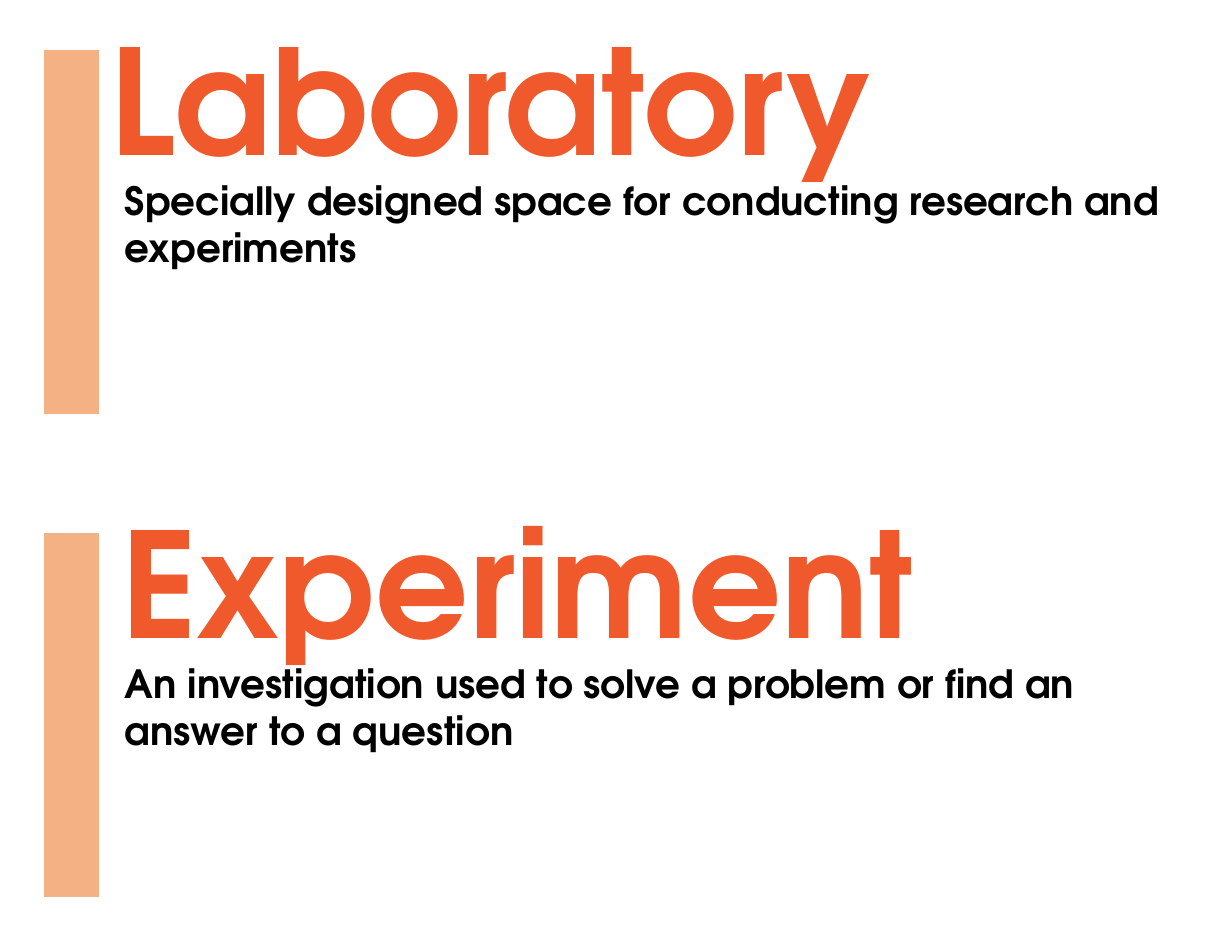
from dataclasses import dataclass

import pptx
import pptx.dml.color
import pptx.enum.shapes
import pptx.enum.text
import pptx.util

PX = 914400 / 112


@dataclass(frozen=True)
class Theme:
    font: str = "TeX Gyre Adventor"
    term_color: str = "F0592B"
    text_color: str = "000000"
    bar_color: str = "F4B183"
    term_size: int = 94
    text_size: int = 25


@dataclass(frozen=True)
class Box:
    left: int
    top: int
    width: int
    height: int

    def inner(self, left, top, width, height):
        """Return a box whose position is relative to this one."""
        return Box(self.left + left, self.top + top, width, height)

    def emu(self):
        lengths = (self.left, self.top, self.width, self.height)
        return [pptx.util.Emu(round(length * PX)) for length in lengths]


THEME = Theme()
FIRST_CARD = Box(44, 50, 1128, 364)
CARD_PITCH = 483
# Term, its left edge within the card, definition
ENTRIES = [
    ("Laboratory", 55,
     "Specially designed space for conducting research and experiments"),
    ("Experiment", 66,
     "An investigation used to solve a problem or find an answer to a question"),
]


def rgb(value):
    return pptx.dml.color.RGBColor.from_string(value)


def write_text(shape, text, size, color, anchor):
    frame = shape.text_frame
    frame.text = text
    frame.word_wrap = True
    frame.auto_size = pptx.enum.text.MSO_AUTO_SIZE.NONE
    frame.vertical_anchor = anchor
    para = frame.paragraphs[0]
    para.alignment = pptx.enum.text.PP_ALIGN.LEFT
    font = para.runs[0].font
    font.name = THEME.font
    font.size = pptx.util.Pt(size)
    font.bold = True
    font.color.rgb = rgb(color)


def add_bar(page, box):
    bar = page.shapes.add_shape(
        pptx.enum.shapes.MSO_SHAPE.RECTANGLE, *box.emu())
    bar.shadow.inherit = False
    bar.fill.solid()
    bar.fill.fore_color.rgb = rgb(THEME.bar_color)
    bar.line.fill.background()


def add_card(page, box, term, term_left, definition, title=None):
    """Place a bar, a term and its definition; title may hold the term."""
    definition_box = page.shapes.add_textbox(
        *box.inner(70, 121, 1058, 244).emu())
    write_text(definition_box, definition, THEME.text_size, THEME.text_color,
               pptx.enum.text.MSO_ANCHOR.TOP)

    term_box = box.inner(term_left, -48, 1074, 190).emu()
    if title is None:
        heading = page.shapes.add_textbox(*term_box)
    else:
        heading = title
        heading.left, heading.top, heading.width, heading.height = term_box
    write_text(heading, term, THEME.term_size, THEME.term_color,
               pptx.enum.text.MSO_ANCHOR.MIDDLE)

    add_bar(page, box.inner(0, 0, 55, box.height))


def main():
    deck = pptx.Presentation()
    deck.slide_width = pptx.util.Inches(11)
    deck.slide_height = pptx.util.Inches(8.5)
    page = deck.slides.add_slide(deck.slide_layouts.get_by_name("Title Only"))
    for index, (term, term_left, definition) in enumerate(ENTRIES):
        card = FIRST_CARD.inner(
            0, index * CARD_PITCH, FIRST_CARD.width, FIRST_CARD.height)
        title = page.shapes.title if index == 0 else None
        add_card(page, card, term, term_left, definition, title)
    deck.save("out.pptx")


if __name__ == "__main__":
    main()
